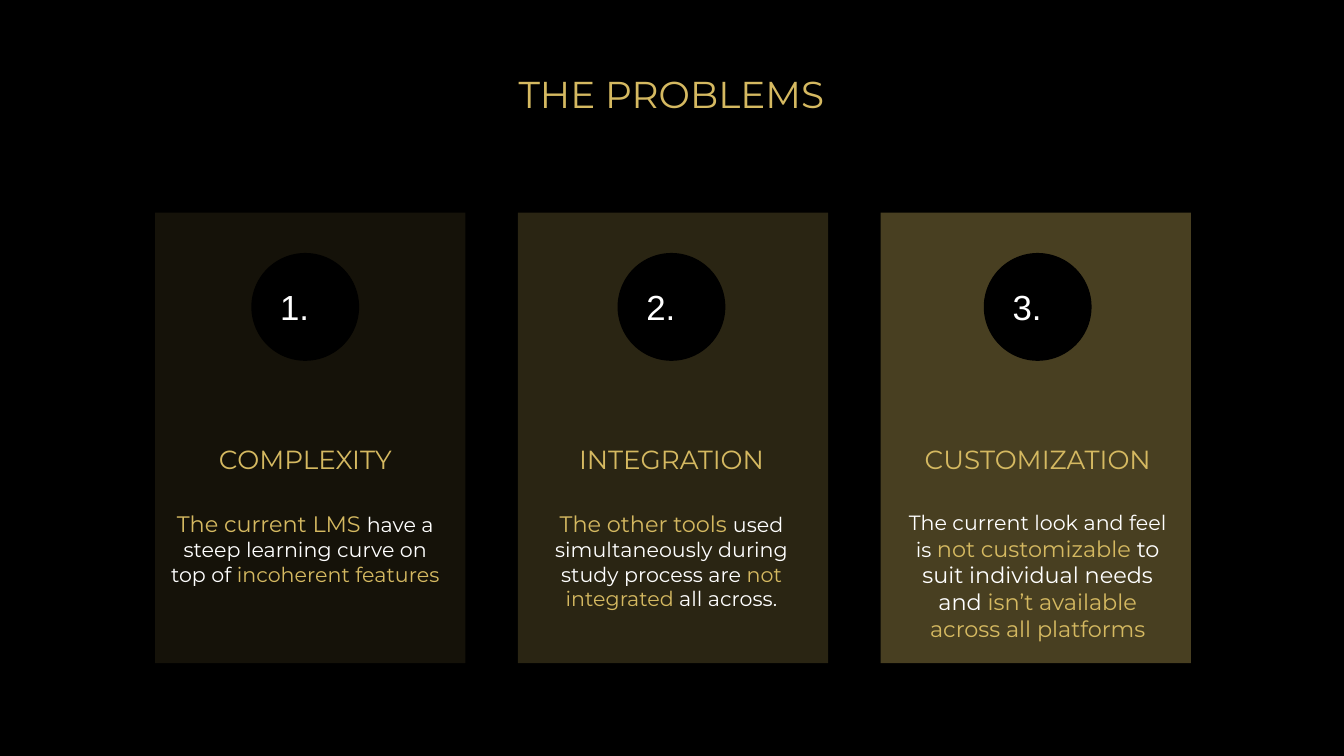
import pptx
import pptx.dml.color
import pptx.enum.shapes
import pptx.enum.text
import pptx.oxml
import pptx.oxml.ns
import pptx.util
from lxml import etree

Inches = pptx.util.Inches
Align = pptx.enum.text.PP_ALIGN
Anchor = pptx.enum.text.MSO_ANCHOR
Shape = pptx.enum.shapes.MSO_SHAPE

THEME = {
    "black": "000000", "gold": "D5B961", "white": "FFFFFF",
    "font": "Montserrat", "number_font": "Arial",
    "title": 26.7, "heading": 18.7, "number": 24.9, "large": 16, "body": 14.7,
}

TITLE = "THE PROBLEMS"
# Each body is a list of paragraphs; each run is (text, colour, size).
PROBLEMS = [
    {"number": "1.", "heading": "COMPLEXITY", "opacity": 10, "body": [
        [("The current LMS ", "gold", "large"),
         ("have a steep learning curve on top of ", "white", "body"),
         ("incoherent features", "gold", "body")]]},
    {"number": "2.", "heading": "INTEGRATION", "opacity": 20, "body": [
        [("The other tools ", "gold", "large"),
         ("used simultaneously during study process are ", "white", "body"),
         ("not integrated", "gold", "body"),
         (" all across.", "white", "body")]]},
    {"number": "3.", "heading": "CUSTOMIZATION", "opacity": 34, "body": [
        [("The current look and feel is ", "white", "body"),
         ("not customizable ", "gold", "large"),
         ("to suit individual needs", "white", "large")],
        [("and", "white", "large"),
         (" isn’t available across all platforms", "gold", "large")]]},
]

LEFT, CARD_PITCH, TEXT_PITCH = 1.54, 3.6, 3.635
TEXT_WIDTH, CIRCLE = 2.98, 1.07
PADDING = 0.13


def colour(name):
    return pptx.dml.color.RGBColor.from_string(THEME[name])


def write(holder, paragraphs, font="font", align=Align.CENTER, anchor=Anchor.TOP):
    """Fill a shape or text box with paragraphs of (text, colour, size) runs."""
    frame = holder.text_frame
    frame.word_wrap = True
    frame.vertical_anchor = anchor
    frame.margin_left = frame.margin_right = Inches(PADDING)
    frame.margin_top = frame.margin_bottom = Inches(PADDING)
    for index, runs in enumerate(paragraphs):
        paragraph = frame.add_paragraph() if index else frame.paragraphs[0]
        paragraph.alignment = align
        for text, ink, size in runs:
            run = paragraph.add_run()
            run.text = text
            run.font.name = THEME[font]
            run.font.size = pptx.util.Pt(THEME[size])
            run.font.color.rgb = colour(ink)


def add_box(slide, left, top, width, height, paragraphs, **formatting):
    box = slide.shapes.add_textbox(Inches(left), Inches(top), Inches(width), Inches(height))
    write(box, paragraphs, **formatting)


def add_filled(slide, kind, left, top, width, height, fill, opacity=100):
    shape = slide.shapes.add_shape(kind, Inches(left), Inches(top), Inches(width), Inches(height))
    shape.shadow.inherit = False
    shape.line.fill.background()
    shape.fill.solid()
    shape.fill.fore_color.rgb = colour(fill)
    if opacity < 100:
        qn = pptx.oxml.ns.qn
        rgb = shape.fill._xPr.find(qn("a:solidFill")).find(qn("a:srgbClr"))
        etree.SubElement(rgb, qn("a:alpha")).set("val", str(opacity * 1000))
    return shape


def add_problem(slide, index, problem):
    add_filled(slide, Shape.RECTANGLE, LEFT + index * CARD_PITCH, 2.11, 3.08, 4.47,
               "gold", problem["opacity"])
    left = LEFT + index * TEXT_PITCH
    add_box(slide, left, 4.02, TEXT_WIDTH, 0.82,
            [[(problem["heading"], "gold", "heading")]], anchor=Anchor.BOTTOM)
    add_box(slide, left, 4.93, TEXT_WIDTH, 1.26, problem["body"])
    circle = add_filled(slide, Shape.OVAL, left + (TEXT_WIDTH - CIRCLE) / 2, 2.51,
                        CIRCLE, CIRCLE, "black")
    write(circle, [[(problem["number"], "white", "number")]],
          font="number_font", align=Align.LEFT, anchor=Anchor.MIDDLE)


def main():
    deck = pptx.Presentation()
    deck.slide_width, deck.slide_height = Inches(13.34), Inches(7.5)
    slide = deck.slides.add_slide(deck.slide_layouts[6])
    slide.background.fill.solid()
    slide.background.fill.fore_color.rgb = colour("black")
    add_box(slide, 4.62, 0.54, 4.09, 0.74, [[(TITLE, "gold", "title")]], anchor=Anchor.BOTTOM)
    for index, problem in enumerate(PROBLEMS):
        add_problem(slide, index, problem)
    deck.save("out.pptx")


if __name__ == "__main__":
    main()
